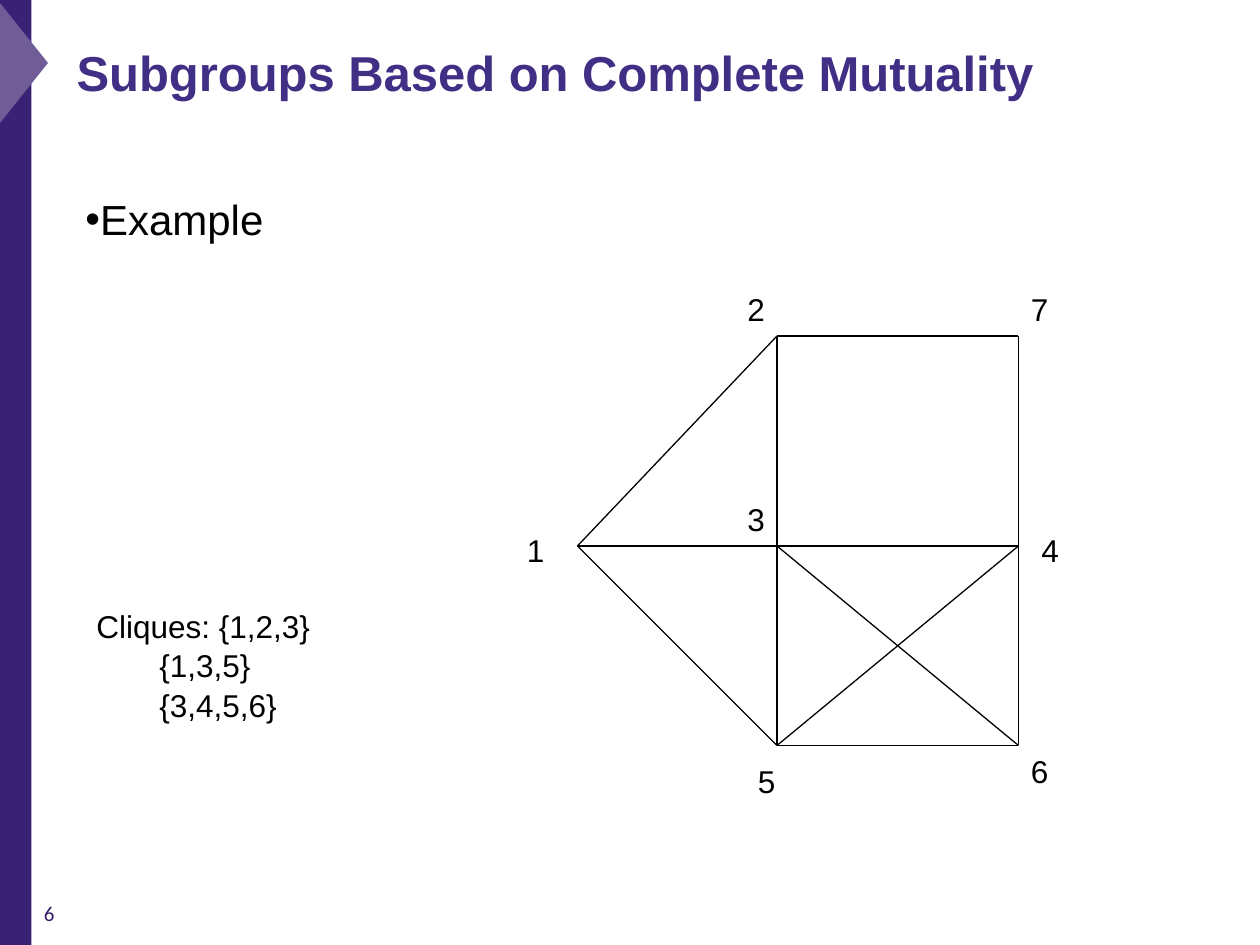
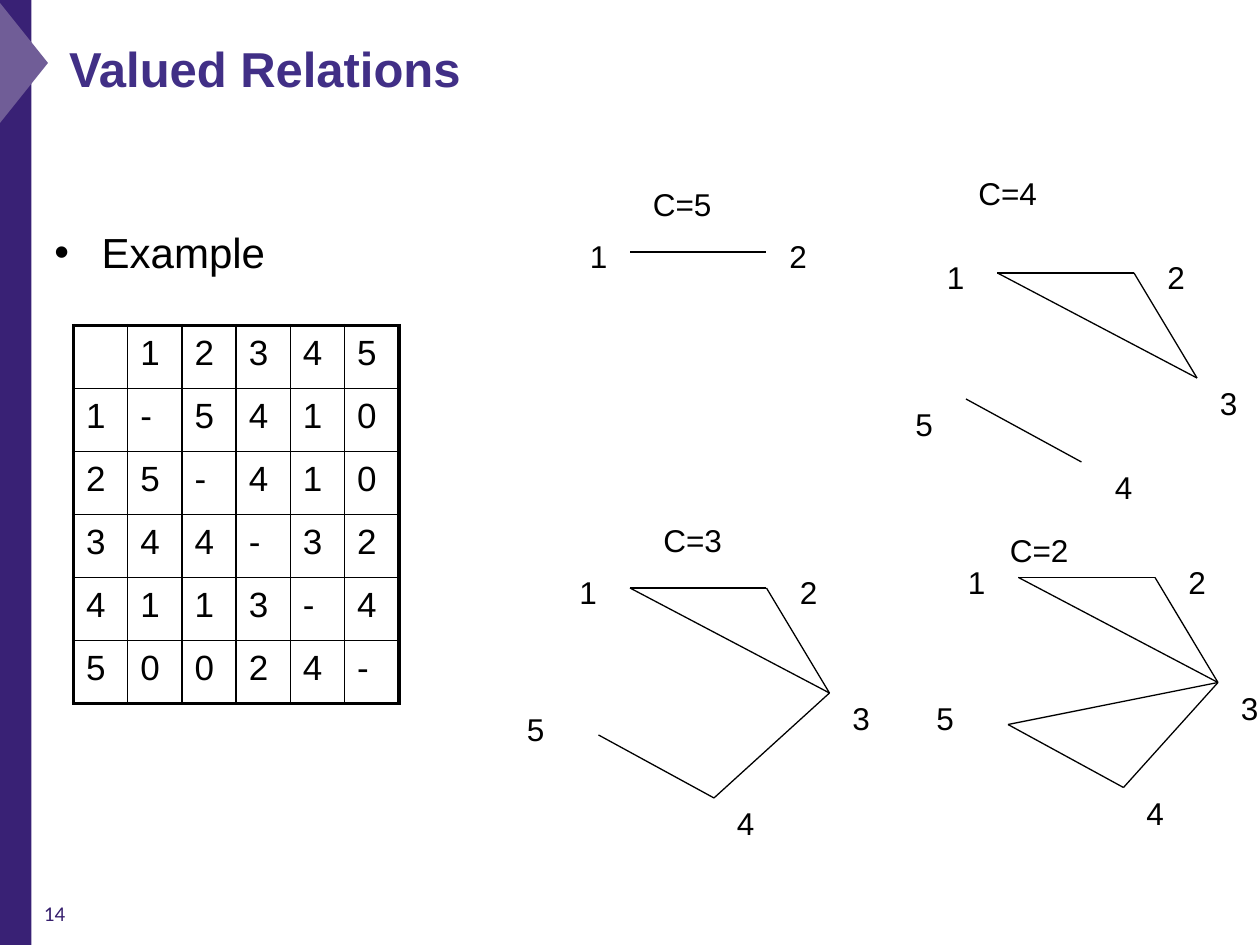
from dataclasses import dataclass
from pptx import Presentation
from pptx.dml.color import RGBColor as Rgb
from pptx.enum.shapes import MSO_CONNECTOR as Conn, MSO_SHAPE as Kind
from pptx.enum.text import MSO_ANCHOR as Anchor
from pptx.oxml.ns import qn
from pptx.slide import Slide
from pptx.util import Pt
from lxml.etree import SubElement as Sub


@dataclass(frozen=True)
class Theme:
    band: str = "392175"
    mark: str = "705D97"
    title: str = "412F86"
    page: str = "361F6D"
    ink: str = "000000"
    font: str = "Arial"
    foot: str = "Calibri"
    head: float = 28
    lead: float = 24
    cell: float = 20
    body: float = 18
    note: float = 12
    thin: float = 0.75
    rule: float = 1
    edge: float = 2.25


@dataclass(frozen=True)
class Box:
    x: float
    y: float
    w: float
    h: float

    def pts(self) -> tuple:
        return Pt(self.x), Pt(self.y), Pt(self.w), Pt(self.h)


@dataclass(frozen=True)
class Node:
    name: str
    x: float
    y: float
    dx: float
    dy: float


@dataclass(frozen=True)
class Graph:
    nodes: tuple
    links: str


@dataclass(frozen=True)
class Label:
    text: str
    x: float
    y: float


THEME = Theme()

MUTUAL = Graph((
    Node("1", 330, 312, -36, -12),
    Node("2", 444, 192, -24, -30),
    Node("3", 444, 312, -24, -30),
    Node("4", 582, 312, 6, -12),
    Node("5", 444, 426, -18, 6),
    Node("6", 582, 426, 0, 0),
    Node("7", 582, 192, 0, -30),
), "27 23 34 47 35 56 46 13 12 15 36 45")


def trio(x: float, y: float) -> tuple:
    return (Node("1", x, y, -36, -12),
            Node("2", x + 78, y, 12, -12),
            Node("3", x + 114, y + 60, 6, 0))


def duo(x: float, y: float, left: tuple = (-48, -18), right: tuple = (6, 0)) -> tuple:
    return Node("5", x, y, *left), Node("4", x + 66, y + 36, *right)


LEVELS = (
    (Label("C=5", 366, 102),
     Graph((Node("1", 360, 144, -30, -12), Node("2", 438, 144, 6, -12)), "12")),
    (Label("C=4", 552, 96),
     Graph(trio(570, 156) + duo(552, 228, (-36, 0), (12, 0)), "12 23 13 45")),
    (Label("C=3", 372, 294),
     Graph(trio(360, 336) + duo(342, 420), "12 23 13 45 34")),
    (Label("C=2", 570, 300),
     Graph(trio(582, 330) + duo(576, 414), "12 23 13 45 34 35")),
)

VALUES = (" 12345", "1-5410", "25-410", "344-32", "4113-4", "50024-")


def write(slide: Slide, text: str, box: Box, size: float = THEME.body,
          color: str = THEME.ink, font: str = THEME.font, bold: bool = False):
    frame = slide.shapes.add_textbox(*box.pts()).text_frame
    frame.word_wrap = True
    frame.text = text
    for para in frame.paragraphs:
        style(para, size, color, font, bold)
    return frame


def style(para, size: float, color: str = THEME.ink,
          font: str = THEME.font, bold: bool = False) -> None:
    for run in para.runs:
        run.font.size = Pt(size)
        run.font.name = font
        run.font.bold = bold
        run.font.color.rgb = Rgb.from_string(color)


def shape(slide: Slide, kind: Kind, box: Box, color: str, turn: float = 0) -> None:
    item = slide.shapes.add_shape(kind, *box.pts())
    item.shadow.inherit = False
    item.fill.solid()
    item.fill.fore_color.rgb = Rgb.from_string(color)
    item.line.fill.background()
    item.rotation = turn


def start(deck, title: str, box: Box, page: int) -> Slide:
    slide = deck.slides.add_slide(deck.slide_layouts[6])
    shape(slide, Kind.RECTANGLE, Box(-0.72, 0, 18.72, 540), THEME.band)
    shape(slide, Kind.ISOSCELES_TRIANGLE, Box(-23, 21.6, 72, 28.8), THEME.mark, 90)
    frame = write(slide, title, box, THEME.head, THEME.title, bold=True)
    frame.vertical_anchor = Anchor.BOTTOM
    write(slide, str(page), Box(18, 511.2, 168, 28.8), THEME.note, THEME.page, THEME.foot)
    return slide


def bullet(slide: Slide, text: str, box: Box, hang: float) -> None:
    props = write(slide, text, box, THEME.lead).paragraphs[0]._p.get_or_add_pPr()
    props.set("marL", str(Pt(hang)))
    props.set("indent", str(-Pt(hang)))
    Sub(props, qn("a:buFont"), typeface=THEME.font)
    Sub(props, qn("a:buChar"), char="•")


def line(slide: Slide, a: Node, b: Node) -> None:
    item = slide.shapes.add_connector(Conn.STRAIGHT, Pt(a.x), Pt(a.y), Pt(b.x), Pt(b.y))
    item.line.width = Pt(THEME.thin)
    item.line.color.rgb = Rgb.from_string(THEME.ink)
    Sub(item._element.spPr, qn("a:effectLst"))


def draw(slide: Slide, graph: Graph) -> None:
    nodes = {node.name: node for node in graph.nodes}
    for a, b in graph.links.split():
        line(slide, nodes[a], nodes[b])
    for node in graph.nodes:
        write(slide, node.name, Box(node.x + node.dx, node.y + node.dy, 30, 28.8))


def border(cell, sides: dict) -> None:
    props = cell._tc.get_or_add_tcPr()
    for spot, (side, width) in enumerate(sides.items()):
        rule = Sub(props, qn(f"a:{side}"), w=str(Pt(width)))
        props.insert(spot, rule)
        fill = Sub(rule, qn("a:solidFill"))
        Sub(fill, qn("a:srgbClr"), val=THEME.ink)


def matrix(slide: Slide, rows: tuple, box: Box) -> None:
    size = len(rows)
    table = slide.shapes.add_table(size, size, *box.pts()).table
    table.first_row = table.horz_banding = False
    for i, row in enumerate(rows):
        table.rows[i].height = Pt(box.h / size)
        table.columns[i].width = Pt(box.w / size)
        for j, text in enumerate(row):
            cell = table.cell(i, j)
            cell.fill.background()
            cell.text = text.strip()
            para = cell.text_frame.paragraphs[0]
            para.line_spacing = 1.05
            style(para, THEME.cell)
            outer = {"lnL": j == 0, "lnR": j == size - 1,
                     "lnT": i == 0, "lnB": i == size - 1}
            border(cell, {side: THEME.edge if out else THEME.rule
                          for side, out in outer.items()})


def mutual(deck) -> None:
    slide = start(deck, "Subgroups Based on Complete Mutuality",
                  Box(36.72, 15.84, 617.76, 45.36), 6)
    bullet(slide, "Example", Box(41.76, 107.28, 252, 77.76), 0)
    draw(slide, MUTUAL)
    frame = write(slide, "Cliques: {1,2,3}\n{1,3,5}\n{3,4,5,6}", Box(48, 342, 160.56, 82.8))
    for i, para in enumerate(frame.paragraphs):
        para.line_spacing = 1.05
        if i:
            para._p.get_or_add_pPr().set("marL", str(Pt(36)))


def valued(deck) -> None:
    slide = start(deck, "Valued Relations", Box(32.4, 7.2, 672.48, 51.84), 14)
    bullet(slide, "Example", Box(24, 126, 330.48, 354.24), 27)
    matrix(slide, VALUES, Box(42, 186, 186, 216))
    for label, graph in LEVELS:
        write(slide, label.text, Box(label.x, label.y, 60, 28.8))
        draw(slide, graph)


def main() -> None:
    deck = Presentation()
    deck.slide_width, deck.slide_height = Pt(720), Pt(540)
    mutual(deck)
    valued(deck)
    deck.save("out.pptx")


if __name__ == "__main__":
    main()
